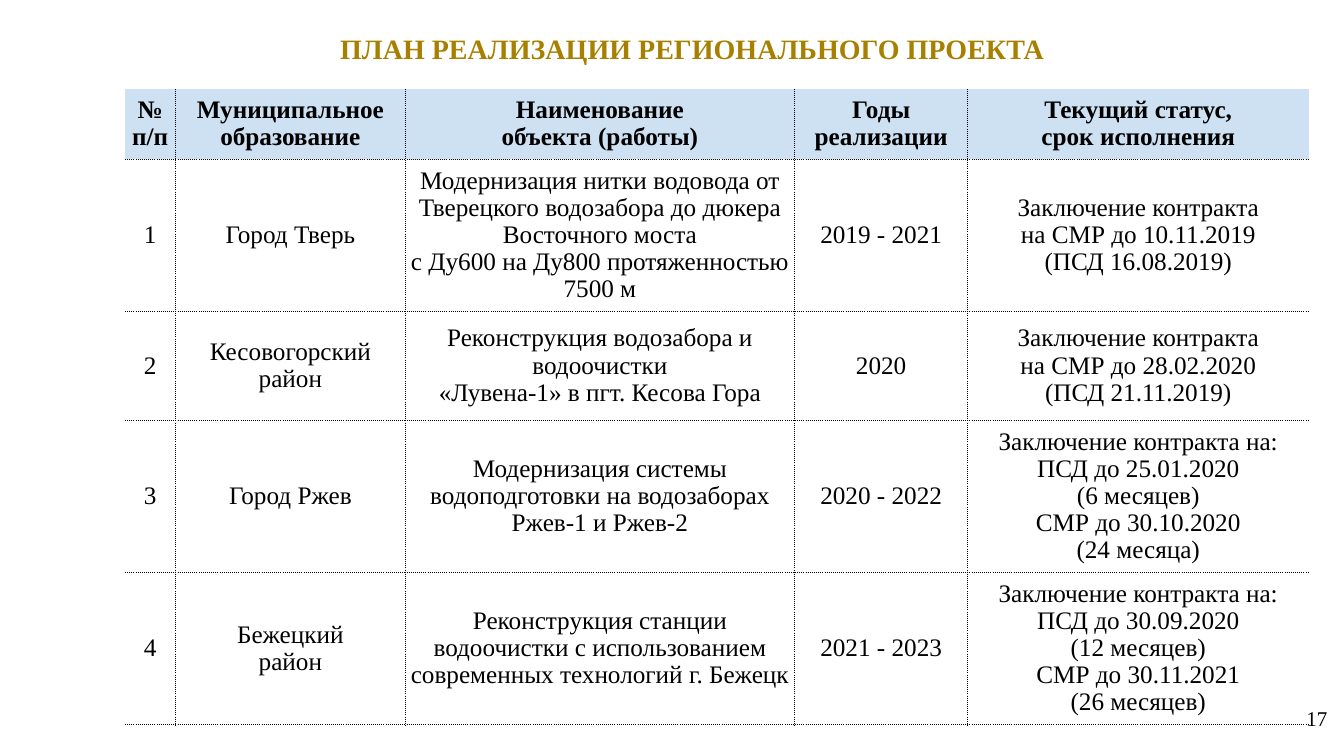
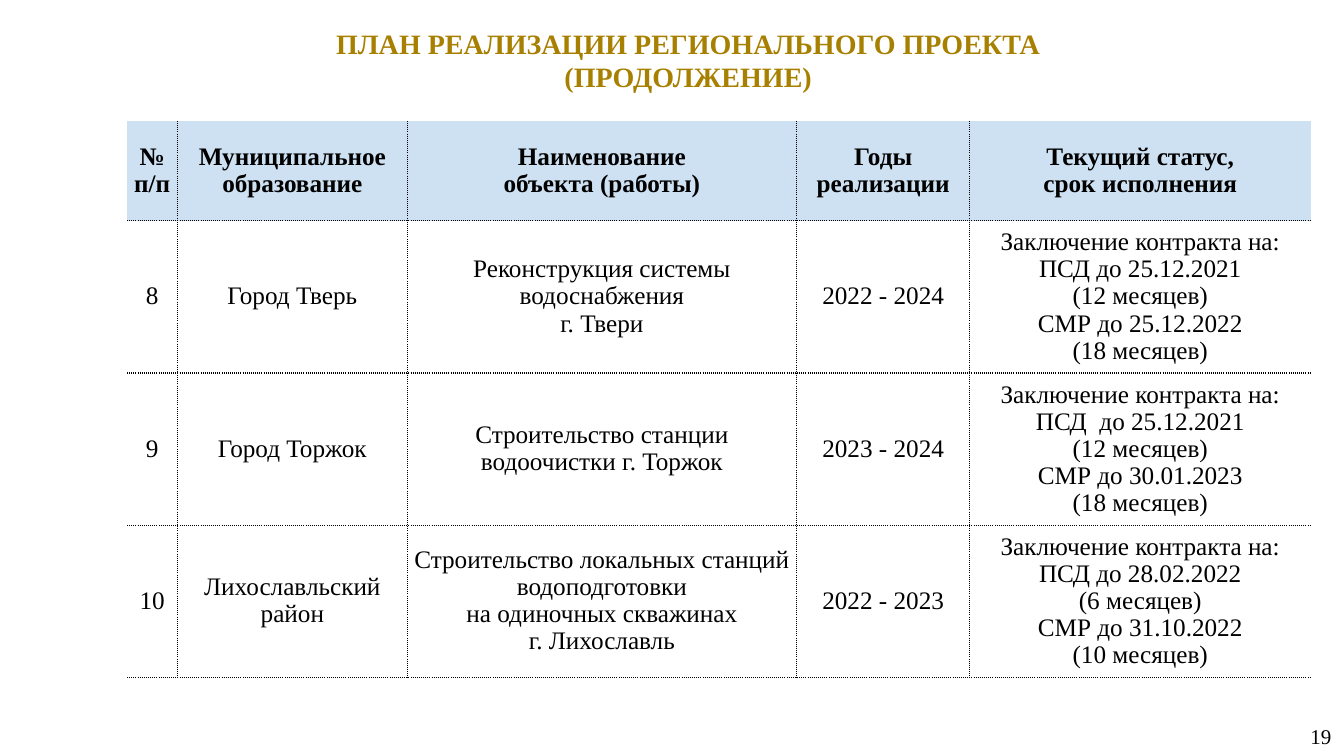
from lxml import etree
from pptx import Presentation
from pptx.dml.color import RGBColor
from pptx.enum.text import MSO_ANCHOR, PP_ALIGN
from pptx.oxml.ns import qn
from pptx.util import Inches, Pt

CENTER = PP_ALIGN.CENTER
TOP, MIDDLE = MSO_ANCHOR.TOP, MSO_ANCHOR.MIDDLE
TITLE_ONLY = 5

COLORS = {"title": "A88000", "text": "000000", "header": "CEE1F2", "border": "000000"}
FONT = "Times New Roman"
COLUMN_WIDTHS = (0.5, 2.28, 3.86, 1.72, 3.38)
HEADER = (
    "№ п/п",
    "Муниципальное образование",
    "Наименование\vобъекта (работы)",
    "Годы реализации",
    "Текущий статус,\vсрок исполнения",
)


class ProjectDeck:
    def __init__(self):
        self.prs = Presentation()
        self.prs.slide_width, self.prs.slide_height = Inches(13.33), Inches(7.5)
        self.slide = None

    def add_slide(self):
        self.slide = self.prs.slides.add_slide(self.prs.slide_layouts[TITLE_ONLY])

    def style(self, frame, size, color="text", bold=False, spacing=None):
        for paragraph in frame.paragraphs:
            paragraph.alignment = CENTER
            paragraph.line_spacing = spacing
            paragraph.font.name = FONT
            paragraph.font.size = Pt(size)
            paragraph.font.bold = bold
            paragraph.font.color.rgb = RGBColor.from_string(COLORS[color])

    def title(self, text, left, top, height):
        title = self.slide.shapes.title
        title.left, title.top = Inches(left), Inches(top)
        title.width, title.height = Inches(11.71), Inches(height)
        frame = title.text_frame
        frame.text = text
        frame.vertical_anchor = TOP
        frame.margin_left = frame.margin_right = Inches(0.13)
        frame.margin_top = frame.margin_bottom = Inches(0.07)
        self.style(frame, 20, "title", bold=True)

    def page_number(self, number, left, top):
        box = self.slide.shapes.add_textbox(
            Inches(left), Inches(top), Inches(0.48), Inches(0.4))
        frame = box.text_frame
        frame.text = str(number)
        frame.word_wrap = True
        frame.vertical_anchor = MIDDLE
        self.style(frame, 15)

    def borders(self, cell, visible):
        """Draw dotted lines on the visible sides (of L, R, T, B) and clear the rest."""
        properties = cell._tc.get_or_add_tcPr()
        for side in "LRTB":
            line = etree.SubElement(properties, qn(f"a:ln{side}"), w=str(Pt(1)))
            if side in visible:
                fill = etree.SubElement(line, qn("a:solidFill"))
                etree.SubElement(fill, qn("a:srgbClr"), val=COLORS["border"])
                etree.SubElement(line, qn("a:prstDash"), val="sysDot")
            else:
                etree.SubElement(line, qn("a:noFill"))

    def plan_table(self, projects, left, top, row_heights):
        rows = [HEADER, *projects]
        table = self.slide.shapes.add_table(
            len(rows), len(HEADER), Inches(left), Inches(top),
            Inches(sum(COLUMN_WIDTHS)), Inches(sum(row_heights))).table
        table.first_row = table.horz_banding = False
        for column, width in zip(table.columns, COLUMN_WIDTHS):
            column.width = Inches(width)
        for row, height in zip(table.rows, row_heights):
            row.height = Inches(height)
        for r, texts in enumerate(rows):
            for c, text in enumerate(texts):
                self.plan_cell(table.cell(r, c), text, r == 0, c)

    def plan_cell(self, cell, text, is_header, column):
        visible = "B" if is_header else "TB"
        if column > 0:
            visible += "L"
        if column < len(HEADER) - 1:
            visible += "R"
        self.borders(cell, visible)
        if is_header:
            cell.fill.solid()
            cell.fill.fore_color.rgb = RGBColor.from_string(COLORS["header"])
        else:
            cell.fill.background()
        cell.margin_left = cell.margin_right = 0
        cell.margin_top = cell.margin_bottom = 0
        cell.vertical_anchor = MIDDLE
        cell.text = text
        self.style(cell.text_frame, 18, bold=is_header, spacing=0.97)


def main():
    deck = ProjectDeck()

    deck.add_slide()
    deck.title("ПЛАН РЕАЛИЗАЦИИ РЕГИОНАЛЬНОГО ПРОЕКТА", 1.01, 0.24, 0.47)
    deck.page_number(17, 12.82, 6.92)
    deck.plan_table([
        ("1", "Город Тверь",
         "Модернизация нитки водовода от Тверецкого водозабора до дюкера "
         "Восточного моста\vс Ду600 на Ду800 протяженностью 7500 м",
         "2019 - 2021",
         "Заключение контракта\nна СМР до 10.11.2019\v(ПСД 16.08.2019)"),
        ("2", "Кесовогорский район",
         "Реконструкция водозабора и\vводоочистки\n«Лувена-1» в пгт. Кесова Гора",
         "2020",
         "Заключение контракта\nна СМР до 28.02.2020\v(ПСД 21.11.2019)"),
        ("3", "Город Ржев",
         "Модернизация системы водоподготовки на водозаборах Ржев-1 и Ржев-2",
         "2020 - 2022",
         "Заключение контракта на:\nПСД до 25.01.2020\v(6 месяцев)\n"
         "СМР до 30.10.2020\n(24 месяца)"),
        ("4", "Бежецкий\vрайон",
         "Реконструкция станции водоочистки с использованием современных "
         "технологий г. Бежецк",
         "2021 - 2023",
         "Заключение контракта на:\nПСД до 30.09.2020\n(12 месяцев)\n"
         "СМР до 30.11.2021\n(26 месяцев)"),
    ], 1.24, 0.88, (0.7, 1.51, 1.08, 1.51, 1.51))

    deck.add_slide()
    deck.title("ПЛАН РЕАЛИЗАЦИИ РЕГИОНАЛЬНОГО ПРОЕКТА\n(ПРОДОЛЖЕНИЕ)", 0.97, 0.19, 0.81)
    deck.page_number(19, 12.86, 7.1)
    deck.plan_table([
        ("8", "Город Тверь",
         "Реконструкция системы водоснабжения\vг. Твери",
         "2022 - 2024",
         "Заключение контракта на:\nПСД до 25.12.2021\n(12 месяцев)\n"
         "СМР до 25.12.2022\n(18 месяцев)"),
        ("9", "Город Торжок",
         "Строительство станции водоочистки г. Торжок",
         "2023 - 2024",
         "Заключение контракта на:\nПСД  до 25.12.2021\n(12 месяцев)\n"
         "СМР до 30.01.2023\n(18 месяцев)"),
        ("10", "Лихославльский район",
         "Строительство локальных станций водоподготовки\v"
         "на одиночных скважинах\vг. Лихославль",
         "2022 - 2023",
         "Заключение контракта на:\nПСД до 28.02.2022\v(6 месяцев)\n"
         "СМР до 31.10.2022\n(10 месяцев)"),
    ], 1.26, 1.2, (0.99, 1.51, 1.51, 1.51))

    deck.prs.save("out.pptx")


if __name__ == "__main__":
    main()
